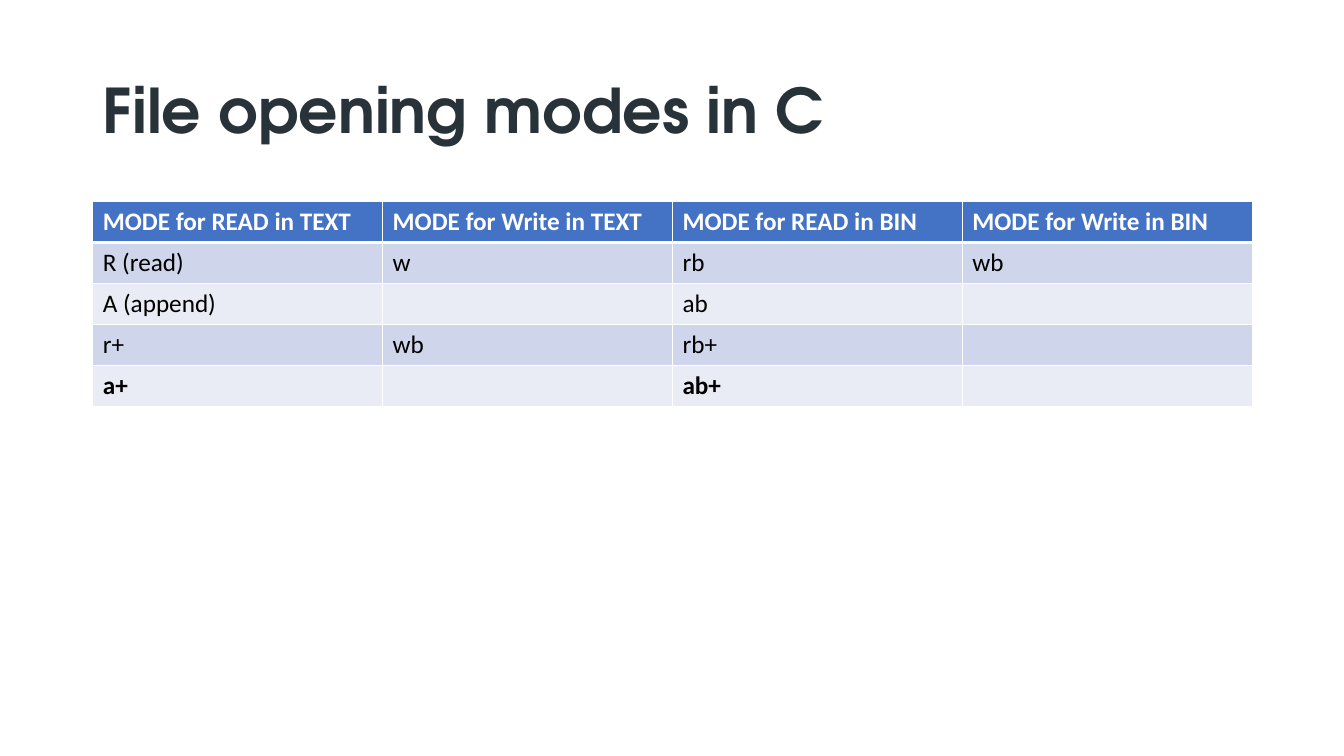
from dataclasses import dataclass

from lxml.etree import SubElement
from pptx import Presentation
from pptx.dml.color import RGBColor
from pptx.enum.text import MSO_ANCHOR as Anchor, MSO_AUTO_SIZE as AutoSize, PP_ALIGN as Align
from pptx.oxml.ns import qn
from pptx.util import Inches, Pt


@dataclass(frozen=True)
class Theme:
    title_font: str = "TeX Gyre Adventor"
    body_font: str = "Calibri"
    title_size: int = 44
    body_size: int = 18
    title_color: str = "273239"
    header_text: str = "FFFFFF"
    body_text: str = "000000"
    header_fill: str = "4472C4"
    band_fills: tuple = ("CFD5EA", "E9EBF5")
    border_color: str = "FFFFFF"
    border_width: int = 1
    header_rule_width: int = 3


HEADER = (
    "MODE for READ in TEXT",
    "MODE for Write in TEXT",
    "MODE for READ in BIN",
    "MODE for Write in BIN",
)
MODES = (
    ("R (read)", "w", "rb", "wb"),
    ("A (append)", "", "ab", ""),
    ("r+", "wb", "rb+", ""),
    ("a+", "", "ab+", ""),
)
BOLD_ROWS = (0, len(MODES))


def apply_format(target, values):
    for name, value in values.items():
        setattr(target, name, value)


class SlideBuilder:
    """Adds styled elements to one slide."""

    def __init__(self, slide, theme):
        self.slide = slide
        self.theme = theme

    def style_font(self, font, name, size, color, bold):
        apply_format(font, {"name": name, "size": Pt(size), "bold": bold})
        font.color.rgb = RGBColor.from_string(color)

    def add_title(self, text, left, top, width, height):
        theme = self.theme
        title = self.slide.shapes.title
        apply_format(title, {
            "left": Inches(left), "top": Inches(top),
            "width": Inches(width), "height": Inches(height),
        })
        frame = title.text_frame
        apply_format(frame, {
            "text": text, "word_wrap": True,
            "auto_size": AutoSize.NONE, "vertical_anchor": Anchor.MIDDLE,
        })
        paragraph = frame.paragraphs[0]
        apply_format(paragraph, {"alignment": Align.LEFT, "line_spacing": 0.9})
        self.style_font(paragraph.runs[0].font, theme.title_font,
                        theme.title_size, theme.title_color, True)

    def add_borders(self, cell, widths):
        properties = cell._tc.get_or_add_tcPr()
        for side, width in widths.items():
            line = SubElement(properties, qn(f"a:ln{side}"), w=str(Pt(width)))
            fill = SubElement(line, qn("a:solidFill"))
            SubElement(fill, qn("a:srgbClr"), val=self.theme.border_color)

    def fill_cell(self, cell, text, row):
        theme = self.theme
        is_header = row == 0
        widths = dict.fromkeys("LRTB", theme.border_width)
        if is_header:
            widths["B"] = theme.header_rule_width
        elif row == 1:
            widths["T"] = theme.header_rule_width
        self.add_borders(cell, widths)
        color = theme.header_fill if is_header else theme.band_fills[(row - 1) % 2]
        cell.fill.solid()
        cell.fill.fore_color.rgb = RGBColor.from_string(color)
        if text:
            cell.text = text
            self.style_font(cell.text_frame.paragraphs[0].runs[0].font,
                            theme.body_font, theme.body_size,
                            theme.header_text if is_header else theme.body_text,
                            row in BOLD_ROWS)

    def add_table(self, rows, left, top, width, height):
        table = self.slide.shapes.add_table(
            len(rows), len(rows[0]),
            Inches(left), Inches(top), Inches(width), Inches(height)).table
        for row, texts in enumerate(rows):
            for column, text in enumerate(texts):
                self.fill_cell(table.cell(row, column), text, row)


def main():
    presentation = Presentation()
    apply_format(presentation, {
        "slide_width": Inches(13.33), "slide_height": Inches(7.5),
    })
    slide = presentation.slides.add_slide(presentation.slide_layouts[5])
    builder = SlideBuilder(slide, Theme())
    builder.add_title("File opening modes in C", 0.92, 0.4, 11.5, 1.45)
    builder.add_table((HEADER, *MODES), 0.92, 2, 11.5, 2.03)
    presentation.save("out.pptx")


if __name__ == "__main__":
    main()
